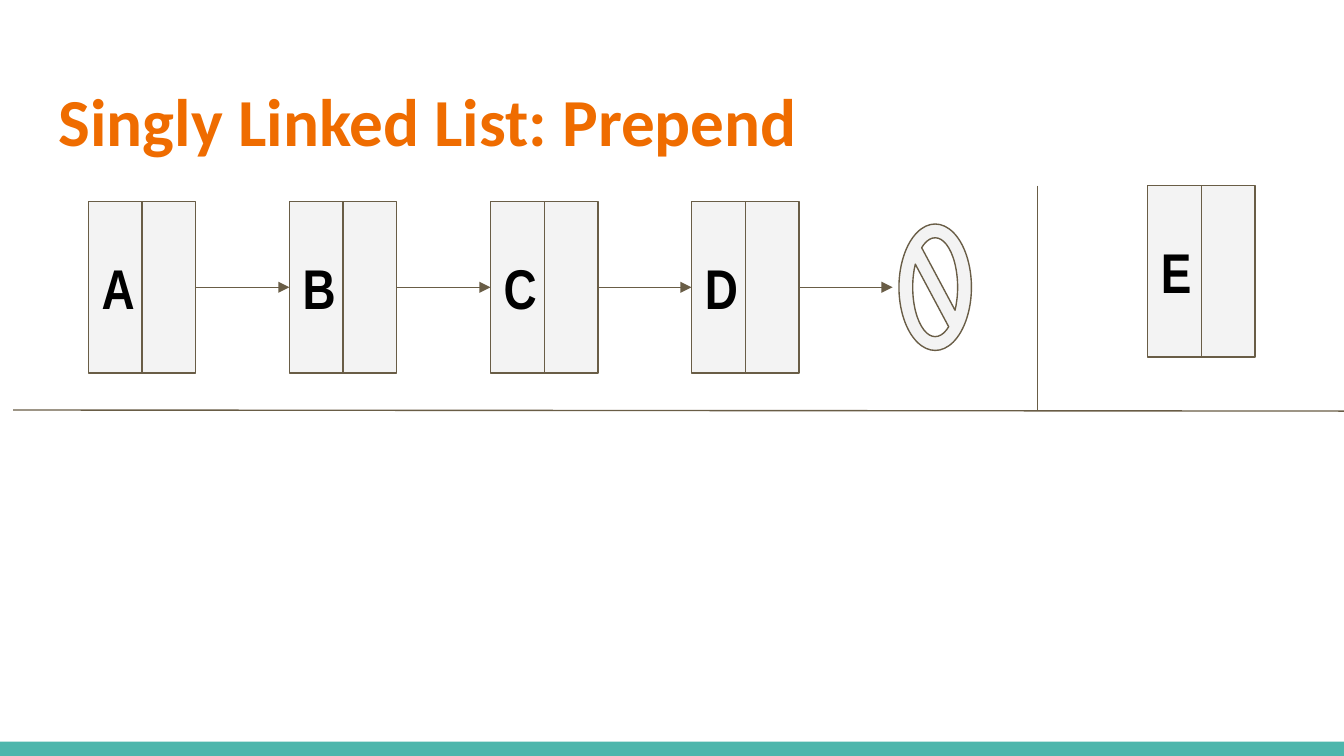
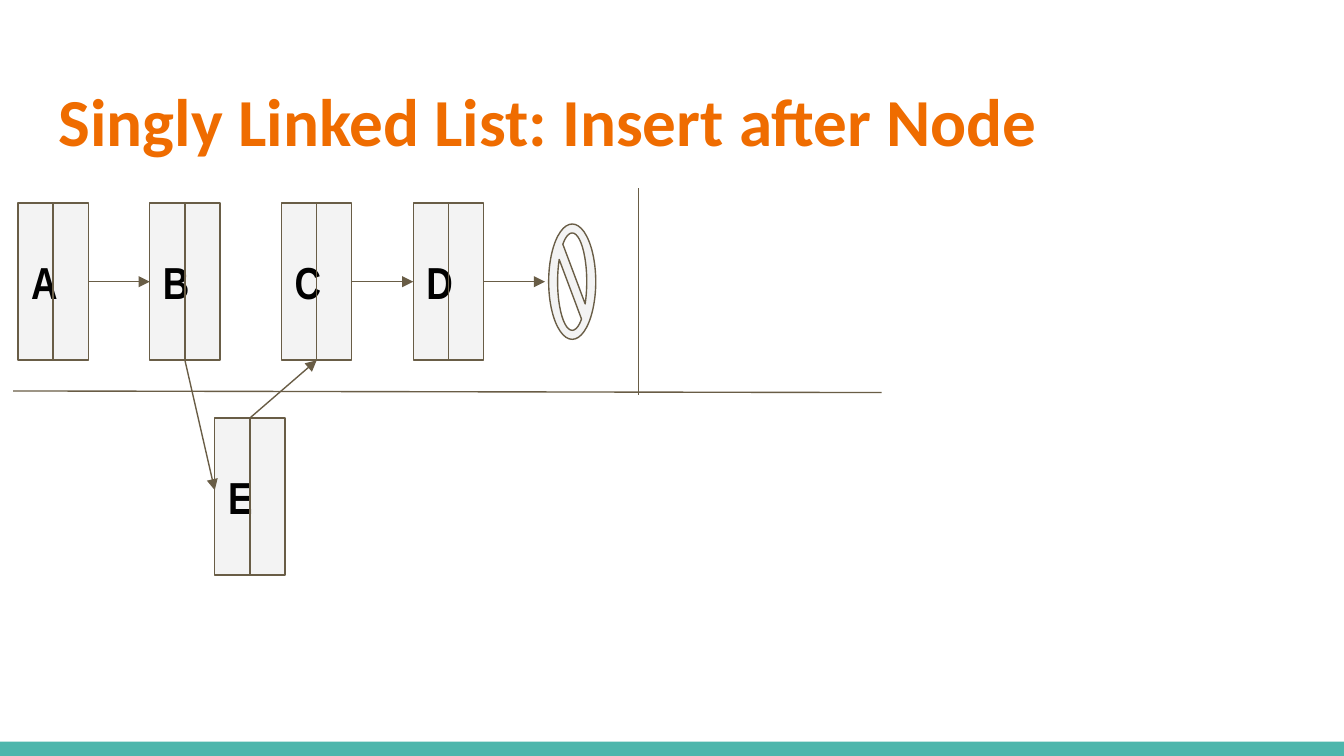
"""Build two slides that show insertion into a singly linked list."""
import lxml.etree
import pptx
import pptx.dml.color
import pptx.enum.shapes
import pptx.enum.text
import pptx.oxml.ns
import pptx.util

Cm = pptx.util.Cm
Pt = pptx.util.Pt
RGBColor = pptx.dml.color.RGBColor
SHAPES = pptx.enum.shapes.MSO_SHAPE
ANCHORS = pptx.enum.text.MSO_ANCHOR
qn = pptx.oxml.ns.qn

ORANGE = RGBColor(0xEF, 0x6C, 0x00)
TEAL = RGBColor(0x4D, 0xB6, 0xAC)
BROWN = RGBColor(0x69, 0x5D, 0x46)
PALE = RGBColor(0xF3, 0xF3, 0xF3)
BLACK = RGBColor(0x00, 0x00, 0x00)

SLIDE_WIDTH, SLIDE_HEIGHT = 25.4, 14.29
BAND_HEIGHT = 0.27
TITLE_BOX = (0.86, 1.24, 23.67, 1.96)
INSET = 0.25

SIDES = {
    "left": (0, 0.5), "upper left": (0, 0.46), "right": (1, 0.5),
    "top": (0.5, 0), "bottom": (0.5, 1),
}

DIAGRAMS = [
    {
        "title": "Singly Linked List: Prepend",
        "nodes": "ABCD", "origin": (1.67, 3.81), "size": (2.03, 3.24),
        "pitch": 3.8, "font_size": 30,
        "links": ["AB", "BC", "CD"],
        "null_size": (1.37, 2.39), "null_gap": 0.12,
        "rules": [(19.61, 3.51, 19.61, 7.77), (0.25, 7.75, 25.4, 7.77)],
        "new_node": ("E", 21.69, 3.51),
        "new_links": [],
    },
    {
        "title": "Singly Linked List: Insert after Node",
        "nodes": "ABCD", "origin": (0.34, 3.84), "size": (1.33, 2.97),
        "pitch": 2.49, "font_size": 24,
        "links": ["AB", "CD"],
        "null_size": (0.89, 2.18), "null_gap": 0.07,
        "rules": [(12.07, 3.56, 12.07, 7.47), (0.25, 7.39, 16.66, 7.42)],
        "new_node": ("E", 4.06, 7.9),
        "new_links": [("B", "bottom", "E", "upper left"),
                      ("E", "top", "C", "bottom")],
    },
]


def set_insets(frame):
    frame.margin_left = frame.margin_right = Cm(INSET)
    frame.margin_top = frame.margin_bottom = Cm(INSET)
    frame.word_wrap = True


def add_run(frame, text, font_name, size, color):
    paragraph = frame.paragraphs[0]
    paragraph.alignment = pptx.enum.text.PP_ALIGN.LEFT
    run = paragraph.add_run()
    run.text = text
    run.font.name = font_name
    run.font.size = Pt(size)
    run.font.bold = True
    run.font.color.rgb = color


def add_outlined(slide, kind, left, top, width, height):
    shape = slide.shapes.add_shape(kind, Cm(left), Cm(top), Cm(width), Cm(height))
    shape.shadow.inherit = False
    shape.fill.solid()
    shape.fill.fore_color.rgb = PALE
    shape.line.color.rgb = BROWN
    shape.line.width = Pt(0.75)
    return shape


def add_line(slide, start, end, arrow=False):
    connector = slide.shapes.add_connector(
        pptx.enum.shapes.MSO_CONNECTOR.STRAIGHT, *map(Cm, (*start, *end)))
    connector.line.color.rgb = BROWN
    connector.line.width = Pt(0.75)
    properties = connector.element.spPr
    if arrow:
        line = properties.find(qn("a:ln"))
        lxml.etree.SubElement(line, qn("a:tailEnd"), type="triangle")
    lxml.etree.SubElement(properties, qn("a:effectLst"))


def add_node(slide, letter, corner, size, font_size):
    left, top = corner
    width, height = size
    node = add_outlined(slide, SHAPES.RECTANGLE, left, top, width, height)
    set_insets(node.text_frame)
    node.text_frame.vertical_anchor = ANCHORS.MIDDLE
    add_run(node.text_frame, letter, "Arial Narrow", font_size, BLACK)
    middle = left + width / 2
    add_line(slide, (middle, top), (middle, top + height))


def add_title(slide, text):
    title = slide.shapes.title
    title.left, title.top, title.width, title.height = map(Cm, TITLE_BOX)
    set_insets(title.text_frame)
    title.text_frame.vertical_anchor = ANCHORS.TOP
    add_run(title.text_frame, text, "Calibri", 36, ORANGE)


def add_diagram(slide, diagram):
    left, top = diagram["origin"]
    width, height = size = diagram["size"]
    font_size = diagram["font_size"]
    corners = {letter: (left + index * diagram["pitch"], top)
               for index, letter in enumerate(diagram["nodes"])}
    for letter, corner in corners.items():
        add_node(slide, letter, corner, size, font_size)

    new_letter, *new_corner = diagram["new_node"]
    corners[new_letter] = new_corner

    def point(letter, side):
        across, down = SIDES[side]
        return (corners[letter][0] + across * width,
                corners[letter][1] + down * height)

    for source, target in diagram["links"]:
        add_line(slide, point(source, "right"), point(target, "left"), arrow=True)
    null_left = left + len(diagram["nodes"]) * diagram["pitch"]
    middle = top + height / 2
    add_line(slide, point(diagram["nodes"][-1], "right"), (null_left, middle),
             arrow=True)
    null_width, null_height = diagram["null_size"]
    null = add_outlined(slide, SHAPES.NO_SYMBOL, null_left + diagram["null_gap"],
                        middle - null_height / 2, null_width, null_height)
    null.adjustments[0] = 0.19

    for x1, y1, x2, y2 in diagram["rules"]:
        add_line(slide, (x1, y1), (x2, y2))
    add_node(slide, new_letter, new_corner, size, font_size)
    for source, source_side, target, target_side in diagram["new_links"]:
        add_line(slide, point(source, source_side), point(target, target_side),
                 arrow=True)


def add_master_band(presentation, slide):
    band = slide.shapes.add_shape(
        SHAPES.RECTANGLE, 0, Cm(SLIDE_HEIGHT - BAND_HEIGHT),
        Cm(SLIDE_WIDTH), Cm(BAND_HEIGHT))
    band.shadow.inherit = False
    band.fill.solid()
    band.fill.fore_color.rgb = TEAL
    band.line.fill.background()
    band.element.nvSpPr.cNvPr.set("id", "99")
    presentation.slide_master.element.cSld.spTree.insert(2, band.element)


def main():
    presentation = pptx.Presentation()
    presentation.slide_width = Cm(SLIDE_WIDTH)
    presentation.slide_height = Cm(SLIDE_HEIGHT)
    layout = presentation.slide_layouts.get_by_name("Title Only")
    for diagram in DIAGRAMS:
        slide = presentation.slides.add_slide(layout)
        add_title(slide, diagram["title"])
        add_diagram(slide, diagram)
    add_master_band(presentation, presentation.slides[0])
    presentation.save("out.pptx")


if __name__ == "__main__":
    main()
